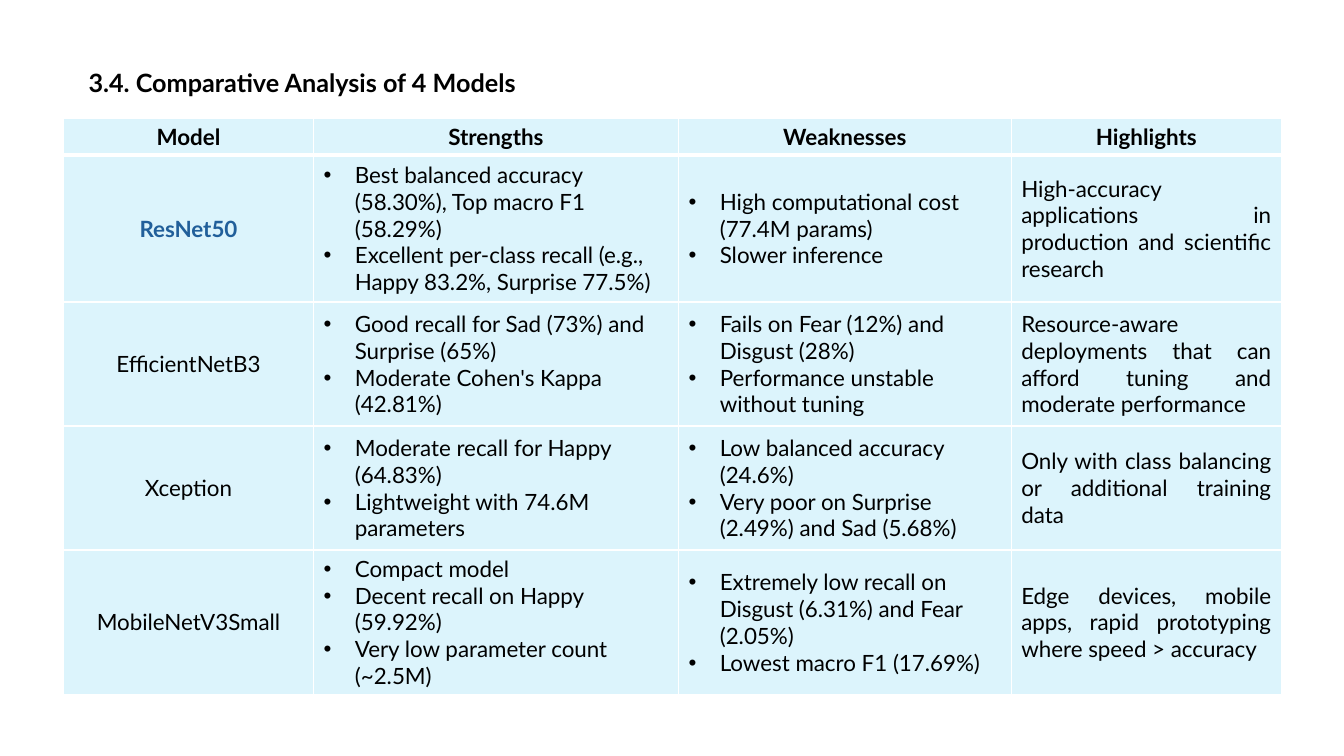
from lxml.etree import SubElement
from pptx import Presentation
from pptx.dml.color import RGBColor
from pptx.enum.text import MSO_ANCHOR, MSO_AUTO_SIZE, PP_ALIGN
from pptx.oxml.ns import qn
from pptx.util import Inches, Pt

BLACK = RGBColor(0x00, 0x00, 0x00)
BLUE = RGBColor(0x21, 0x5F, 0x9A)
PALE_BLUE = RGBColor(0xDC, 0xF4, 0xFC)
WHITE = RGBColor(0xFF, 0xFF, 0xFF)

HEADERS = ["Model", "Strengths", "Weaknesses", "Highlights"]
MODELS = [
    ("ResNet50",
     ["Best balanced accuracy (58.30%), Top macro F1 (58.29%)",
      "Excellent per-class recall (e.g., Happy 83.2%, Surprise 77.5%)"],
     ["High computational cost (77.4M params)", "Slower inference"],
     "High-accuracy applications in production and scientific research"),
    ("EfficientNetB3",
     ["Good recall for Sad (73%) and Surprise (65%)",
      "Moderate Cohen's Kappa (42.81%)"],
     ["Fails on Fear (12%) and Disgust (28%)",
      "Performance unstable without tuning"],
     "Resource-aware deployments that can afford tuning and moderate performance"),
    ("Xception",
     ["Moderate recall for Happy (64.83%)", "Lightweight with 74.6M parameters"],
     ["Low balanced accuracy (24.6%)",
      "Very poor on Surprise (2.49%) and Sad (5.68%)"],
     "Only with class balancing or additional training data"),
    ("MobileNetV3Small",
     ["Compact model", "Decent recall on Happy (59.92%)",
      "Very low parameter count (~2.5M)"],
     ["Extremely low recall on Disgust (6.31%) and Fear (2.05%)",
      "Lowest macro F1 (17.69%)"],
     "Edge devices, mobile apps, rapid prototyping where speed > accuracy"),
]
COLUMN_WIDTHS = [2.48, 3.62, 3.3, 2.68]
ROW_HEIGHTS = [0.3, 1.46, 1.23, 1.23, 1.23]
COLUMN_ALIGNMENTS = [PP_ALIGN.CENTER, PP_ALIGN.LEFT, PP_ALIGN.LEFT, PP_ALIGN.JUSTIFY]


def add_border(cell, side, points):
    properties = cell._tc.get_or_add_tcPr()
    line = SubElement(properties, qn(f"a:ln{side}"), w=str(Pt(points)))
    fill = SubElement(line, qn("a:solidFill"))
    SubElement(fill, qn("a:srgbClr"), val=str(WHITE))


def add_bullet(paragraph):
    properties = paragraph._p.get_or_add_pPr()
    properties.set("marL", str(Inches(0.31)))
    properties.set("indent", str(Inches(-0.31)))
    SubElement(properties, qn("a:buFont"), typeface="Arial")
    SubElement(properties, qn("a:buChar"), char="•")


presentation = Presentation()
presentation.slide_width = Inches(13.33)
presentation.slide_height = Inches(7.5)
slide = presentation.slides.add_slide(presentation.slide_layouts[6])

title = slide.shapes.add_textbox(Inches(0.78), Inches(0.62), Inches(4.53), Inches(0.4))
title.text_frame.word_wrap = True
title.text_frame.auto_size = MSO_AUTO_SIZE.SHAPE_TO_FIT_TEXT
paragraph = title.text_frame.paragraphs[0]
paragraph.text = "3.4. Comparative Analysis of 4 Models"
paragraph.font.name = "Lato"
paragraph.font.size = Pt(18)
paragraph.font.bold = True
paragraph.font.color.rgb = BLACK

table = slide.shapes.add_table(
    len(ROW_HEIGHTS), len(COLUMN_WIDTHS), Inches(0.63), Inches(1.17),
    Inches(sum(COLUMN_WIDTHS)), Inches(sum(ROW_HEIGHTS))).table
table.horz_banding = False
for column, width in zip(table.columns, COLUMN_WIDTHS):
    column.width = Inches(width)
for row, height in zip(table.rows, ROW_HEIGHTS):
    row.height = Inches(height)

for row_index, contents in enumerate([HEADERS, *MODELS]):
    is_header = row_index == 0
    for column_index, content in enumerate(contents):
        cell = table.cell(row_index, column_index)
        cell.vertical_anchor = MSO_ANCHOR.MIDDLE
        add_border(cell, "L", 1)
        add_border(cell, "R", 1)
        add_border(cell, "T", 3 if row_index == 1 else 1)
        add_border(cell, "B", 3 if is_header else 1)
        cell.fill.solid()
        cell.fill.fore_color.rgb = PALE_BLUE

        is_list = isinstance(content, list)
        is_best_model = content == "ResNet50"
        cell.text = "\n".join(content) if is_list else content
        for paragraph in cell.text_frame.paragraphs:
            paragraph.alignment = PP_ALIGN.CENTER if is_header else COLUMN_ALIGNMENTS[column_index]
            paragraph.font.name = "Lato"
            paragraph.font.size = Pt(16)
            paragraph.font.bold = is_header or is_best_model
            paragraph.font.color.rgb = BLUE if is_best_model else BLACK
            if is_list:
                add_bullet(paragraph)

# pPr requires bullets before the default run properties
for properties in table._tbl.iter(qn("a:pPr")):
    defaults = properties.find(qn("a:defRPr"))
    if defaults is not None:
        properties.append(defaults)

presentation.save("out.pptx")
